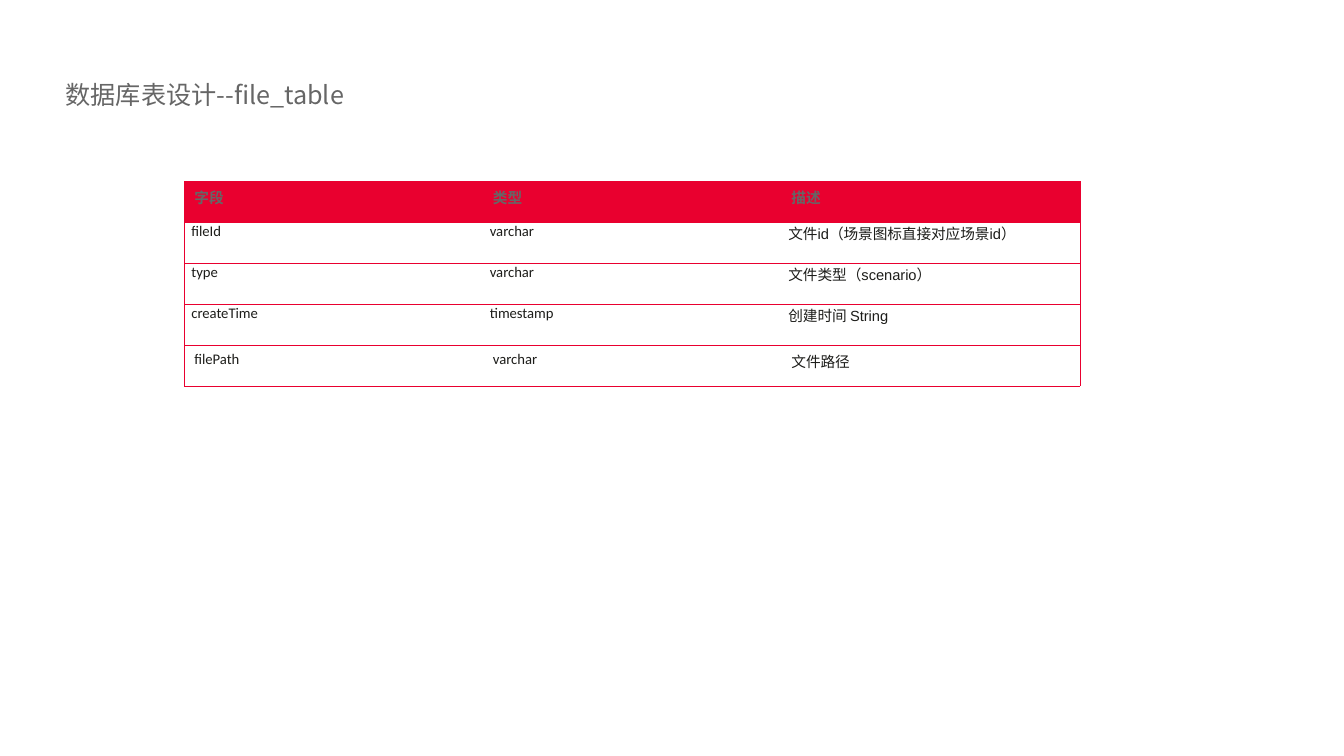
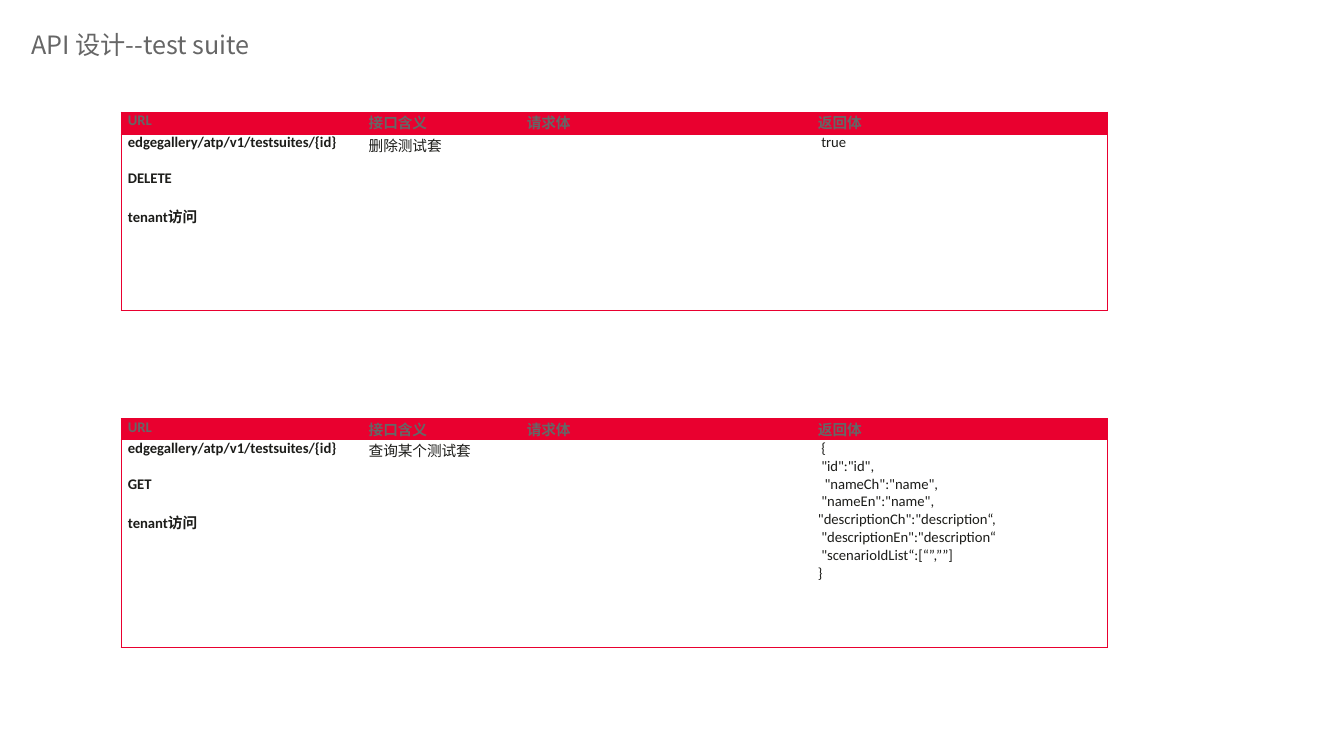
"""Build two slides of table and interface design."""
import pptx
import pptx.util
import pptx.dml.color
import pptx.enum.text
import pptx.oxml
import pptx.oxml.ns

HUES = {"red": "E9002F", "grey": "666666", "ink": "1D1D1A", "white": "FFFFFF"}
HAN = "Noto Sans CJK SC"
ALIGN = pptx.enum.text.PP_ALIGN
TOP = pptx.enum.text.MSO_ANCHOR.TOP


def tint(name):
    return pptx.dml.color.RGBColor.from_string(HUES[name])


def grid(count):
    return pptx.util.Inches(count / 10)


def write(frame, text, size=10.5, face="Calibri", hue="ink", bold=False,
          align=ALIGN.LEFT, gap=0, lead=None):
    for i, line in enumerate(text.split("\n")):
        para = frame.add_paragraph() if i else frame.paragraphs[0]
        para.alignment = align
        para.space_before = pptx.util.Pt(gap if i else 0)
        if lead:
            para.line_spacing = pptx.util.Pt(lead)
        if not line:
            continue
        run = para.add_run()
        run.text = line
        font = run.font
        font.size, font.bold, font.name = pptx.util.Pt(size), bold, face
        font.color.rgb = tint(hue)
        props = run._r.get_or_add_rPr()
        east = pptx.oxml.parse_xml(
            f'<a:ea {pptx.oxml.ns.nsdecls("a")} typeface="{HAN}"/>')
        props.append(east)


class Deck:
    def __init__(self):
        self.file = pptx.Presentation()
        self.file.slide_width = grid(133.4)
        self.file.slide_height = grid(75)
        self.slide = None

    def start(self, text, left, top, wide, high):
        self.slide = self.file.slides.add_slide(self.file.slide_layouts[5])
        title = self.slide.shapes.title
        title.left, title.top = grid(left), grid(top)
        title.width, title.height = grid(wide), grid(high)
        frame = title.text_frame
        frame.auto_size = pptx.enum.text.MSO_AUTO_SIZE.NONE
        frame.vertical_anchor = TOP
        frame.word_wrap = True
        write(frame, text, size=18, face=HAN, hue="grey", lead=34.4)

    def edge(self, cell, sides):
        props = cell._tc.get_or_add_tcPr()
        for side in "LRTB":
            fill = (f'<a:solidFill><a:srgbClr val="{HUES["red"]}"/></a:solidFill>'
                    if side in sides else "<a:noFill/>")
            props.append(pptx.oxml.parse_xml(
                f'<a:ln{side} {pptx.oxml.ns.nsdecls("a")} w="6350">{fill}</a:ln{side}>'))

    def table(self, left, top, cols, highs, cells, faces, loose=(), strong=False):
        shape = self.slide.shapes.add_table(
            len(highs), len(cols), grid(left), grid(top),
            grid(sum(cols)), grid(sum(highs)))
        table = shape.table
        table.first_row = table.horz_banding = False
        for col, wide in zip(table.columns, cols):
            col.width = grid(wide)
        for row, high in zip(table.rows, highs):
            row.height = grid(high)
        for r, line in enumerate(cells):
            for c, text in enumerate(line):
                cell = table.cell(r, c)
                head, label = r == 0, strong and c == 0
                cell.vertical_anchor = TOP
                if r not in loose:
                    cell.margin_left = cell.margin_right = grid(0.7)
                    cell.margin_top = cell.margin_bottom = 0
                sides = "TB" + "L" * (c == 0) + "R" * (c == len(cols) - 1)
                self.edge(cell, sides)
                cell.fill.solid()
                cell.fill.fore_color.rgb = tint("red" if head else "white")
                write(cell.text_frame, text,
                      face="Calibri" if head else faces[c],
                      hue="grey" if head else "ink", bold=head or label,
                      align=ALIGN.LEFT if r in loose else ALIGN.JUSTIFY,
                      gap=12.8 if label else 0)


def main():
    deck = Deck()
    deck.start("数据库表设计--file_table", 5.5, 5.6, 63.6, 5.8)
    deck.table(18.3, 18, [29.63] * 3, [4.06] * 5, [
        ["字段", "类型", "描述"],
        ["fileId", "varchar", "文件id（场景图标直接对应场景id）"],
        ["type", "varchar", "文件类型（scenario）"],
        ["createTime", "timestamp", "创建时间 String"],
        ["filePath", "varchar", "文件路径"],
    ], ["Calibri", "Calibri", "Arial"], loose=(0, 4))

    deck.start("API 设计--test suite", 2.1, 0.6, 37.2, 5.2)
    reply = """ {
 "id":"id",
  "nameCh":"name",
 "nameEn":"name",
"descriptionCh":"description“,
 "descriptionEn":"description“
 "scenarioIdList“:[“”,””]
}"""
    calls = [
        (11.1, [2.2, 17.5], "DELETE", "删除测试套", " true"),
        (41.5, [2, 20.6], "GET", "查询某个测试套", reply),
    ]
    for top, highs, verb, sense, body in calls:
        deck.table(12, top, [23.9, 15.7, 28.9, 29.4], highs, [
            ["URL", "接口含义", "请求体", "返回体"],
            [f"edgegallery/atp/v1/testsuites/{{id}}\n{verb}\ntenant访问",
             sense, "", body],
        ], ["Calibri"] * 4, strong=True)
    deck.file.save("out.pptx")


if __name__ == "__main__":
    main()
